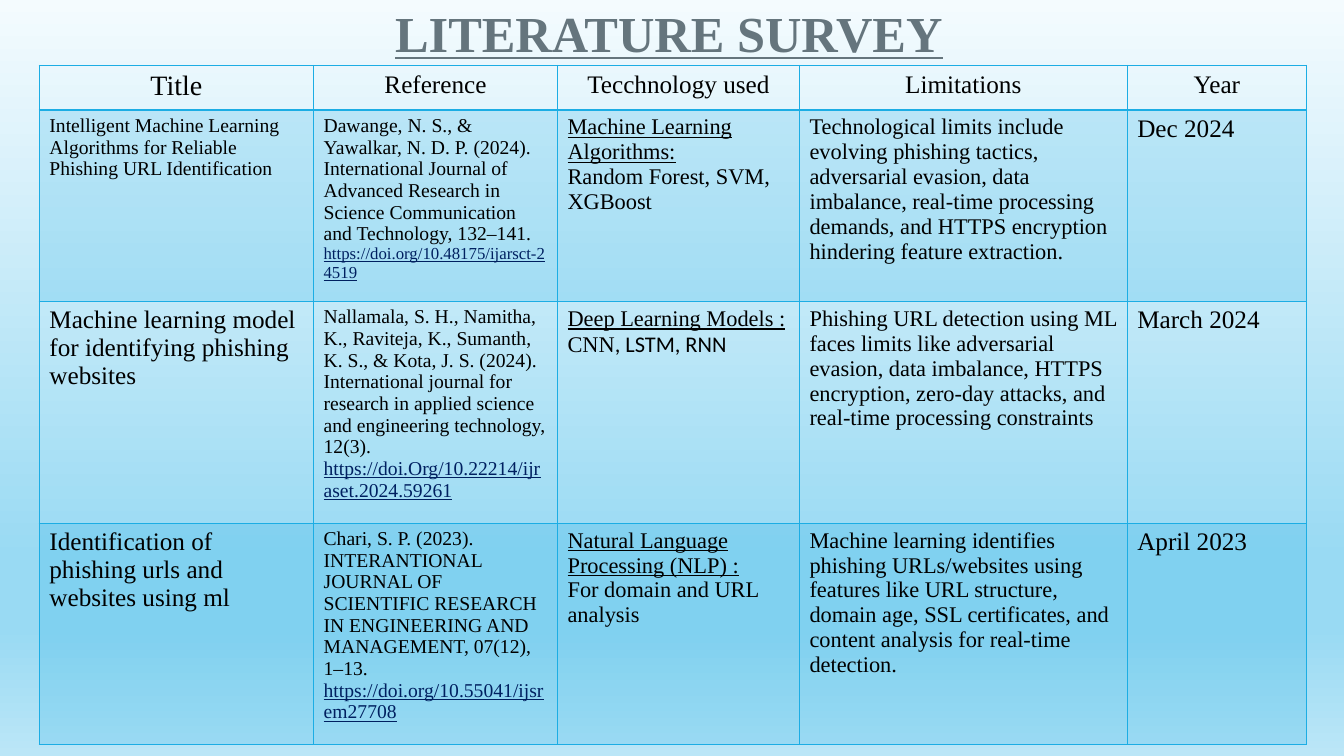
from lxml import etree
from pptx import Presentation
from pptx import util as u
from pptx.dml.color import RGBColor
from pptx.enum import text
from pptx.oxml import ns

BLACK = RGBColor(0x00, 0x00, 0x00)
SLATE = RGBColor(0x65, 0x75, 0x7D)
NAVY = RGBColor(0x00, 0x20, 0x60)
CYAN = RGBColor(0x1C, 0xAD, 0xE4)
MIST = RGBColor(0xF4, 0xFB, 0xFE)
SKY = RGBColor(0x99, 0xDA, 0xF3)
PALE = RGBColor(0xBB, 0xE6, 0xF7)

WIDTH, HEIGHT = 13.33, 7.5
COLUMNS = [2.72, 2.42, 2.4, 3.25, 1.78]
ROWS = [0.44, 1.9, 2.2, 2.2]
HEADINGS = ["Title", "Reference", "Tecchnology used", "Limitations", "Year"]

# Title and its size, reference, link and its size, method, examples, limitations, date
PAPERS = [
    ("Intelligent Machine Learning Algorithms for Reliable Phishing URL Identification", 14,
     "Dawange, N. S., & Yawalkar, N. D. P. (2024). International Journal of Advanced "
     "Research in Science Communication and Technology, 132–141. ",
     "https://doi.org/10.48175/ijarsct-24519", 12,
     "Machine Learning Algorithms:", [("Random Forest, SVM, XGBoost", {})],
     "Technological limits include evolving phishing tactics, adversarial evasion, data "
     "imbalance, real-time processing demands, and HTTPS encryption hindering feature "
     "extraction.",
     "Dec 2024"),
    ("Machine learning model for identifying phishing websites", 18,
     "Nallamala, S. H., Namitha, K., Raviteja, K., Sumanth, K. S., & Kota, J. S. (2024). "
     "International journal for research in applied science and engineering technology, "
     "12(3). ",
     "https://doi.Org/10.22214/ijraset.2024.59261", 14,
     "Deep Learning Models :", [("CNN", {}), (", LSTM, RNN", {"name": "Calibri"})],
     "Phishing URL detection using ML faces limits like adversarial evasion, data "
     "imbalance, HTTPS encryption, zero-day attacks, and real-time processing constraints",
     "March 2024"),
    ("Identification of phishing urls and websites using ml", 18,
     "Chari, S. P. (2023). INTERANTIONAL JOURNAL OF SCIENTIFIC RESEARCH IN ENGINEERING "
     "AND MANAGEMENT, 07(12), 1–13. ",
     "https://doi.org/10.55041/ijsrem27708", 14,
     "Natural Language Processing (NLP) :", [("For domain and URL analysis", {})],
     "Machine learning identifies phishing URLs/websites using features like URL "
     "structure, domain age, SSL certificates, and content analysis for real-time "
     "detection.",
     "April 2023"),
]


class SurveySlide:
    """Holds the text style and the slide being built."""

    base = {"name": "Times New Roman", "size": 18, "color": BLACK}

    def __init__(self, presentation):
        self.slide = presentation.slides.add_slide(presentation.slide_layouts[5])

    def background(self, stops):
        """Fill downwards through (percent, colour) stops."""
        fill = self.slide.background.fill
        fill.gradient()
        fill.gradient_angle = 270
        stop_list = next(self.slide.element.iter(ns.qn("a:gsLst")))
        for stop in list(stop_list):
            stop_list.remove(stop)
        for percent, color in stops:
            stop = etree.SubElement(stop_list, ns.qn("a:gs"), pos=str(percent * 1000))
            etree.SubElement(stop, ns.qn("a:srgbClr"), val=str(color))

    def add_text(self, frame, paragraphs, align=text.PP_ALIGN.LEFT):
        """Add paragraphs, each a list of (words, format) runs."""
        for index, runs in enumerate(paragraphs):
            paragraph = frame.add_paragraph() if index else frame.paragraphs[0]
            paragraph.alignment = align
            for words, changes in runs:
                run = paragraph.add_run()
                run.text = words
                style = {**self.base, **changes}
                run.font.color.rgb = style.pop("color")
                style["size"] = u.Pt(style["size"])
                for name, value in style.items():
                    setattr(run.font, name, value)

    def title(self, words, left, top, width, height):
        """Place the title; lengths are inches on the slide's grid."""
        shape = self.slide.shapes.title
        box = {"left": left, "top": top, "width": width, "height": height}
        for name, value in box.items():
            setattr(shape, name, u.Inches(value))
        frame = shape.text_frame
        settings = {"word_wrap": True, "auto_size": text.MSO_AUTO_SIZE.NONE,
                    "vertical_anchor": text.MSO_ANCHOR.TOP, "margin_top": u.Inches(0.1)}
        for name, value in settings.items():
            setattr(frame, name, value)
        style = {"size": 36, "color": SLATE, "bold": True, "underline": True}
        self.add_text(frame, [[(words, style)]], text.PP_ALIGN.CENTER)

    def table(self, left, top, columns, rows):
        frame = self.slide.shapes.add_table(
            len(rows), len(columns), u.Inches(left), u.Inches(top),
            u.Inches(sum(columns)), u.Inches(sum(rows)))
        table = frame.table
        table.first_row = table.horz_banding = False
        for column, width in zip(table.columns, columns):
            column.width = u.Inches(width)
        for row, height in zip(table.rows, rows):
            row.height = u.Inches(height)
        return table

    def cell(self, cell, paragraphs, shaded, widths, align=text.PP_ALIGN.LEFT):
        """Fill one cell; widths gives its border points by side (L, R, T, B)."""
        self.add_text(cell.text_frame, paragraphs, align)
        if shaded:
            cell.fill.solid()
            cell.fill.fore_color.rgb = CYAN
        else:
            cell.fill.background()
        properties = cell._tc.get_or_add_tcPr()
        for color in properties.iter(ns.qn("a:srgbClr")):
            etree.SubElement(color, ns.qn("a:alpha"), val="20000")
        for index, (side, points) in enumerate(widths.items()):
            line = etree.Element(ns.qn(f"a:ln{side}"), w=str(u.Pt(points)))
            solid = etree.SubElement(line, ns.qn("a:solidFill"))
            etree.SubElement(solid, ns.qn("a:srgbClr"), val=str(CYAN))
            properties.insert(index, line)


def paper_cells(paper):
    """Turn one paper into the paragraphs of its five cells."""
    title, title_size, reference, link, link_size, method, examples, limits, date = paper
    link_style = {"size": link_size, "color": NAVY, "underline": True}
    return [
        [[(title, {"size": title_size})]],
        [[(reference, {"size": 14}), (link, link_style)]],
        [[(method, {"size": 16, "underline": True})],
         [(words, {"size": 16, **changes}) for words, changes in examples]],
        [[(limits, {"size": 16})]],
        [[(date, {})]],
    ]


def main():
    presentation = Presentation()
    presentation.slide_width = u.Inches(WIDTH)
    presentation.slide_height = u.Inches(HEIGHT)
    survey = SurveySlide(presentation)
    survey.background([(0, MIST), (74, SKY), (83, SKY), (100, PALE)])
    survey.title("LITERATURE SURVEY", 0.53, -0.08, 12.21, 0.98)
    table = survey.table(0.39, 0.65, COLUMNS, ROWS)

    thin = dict.fromkeys("LRTB", 1)
    for column, heading in enumerate(HEADINGS):
        size = 18 if column else 20
        survey.cell(table.cell(0, column), [[(heading, {"size": size})]], False,
                    {**thin, "B": 2}, text.PP_ALIGN.CENTER)
    for row, paper in enumerate(PAPERS, 1):
        borders = {**thin, "T": 2 if row == 1 else 1}
        for column, paragraphs in enumerate(paper_cells(paper)):
            survey.cell(table.cell(row, column), paragraphs, row % 2 == 1, borders)
    presentation.save("out.pptx")


if __name__ == "__main__":
    main()
